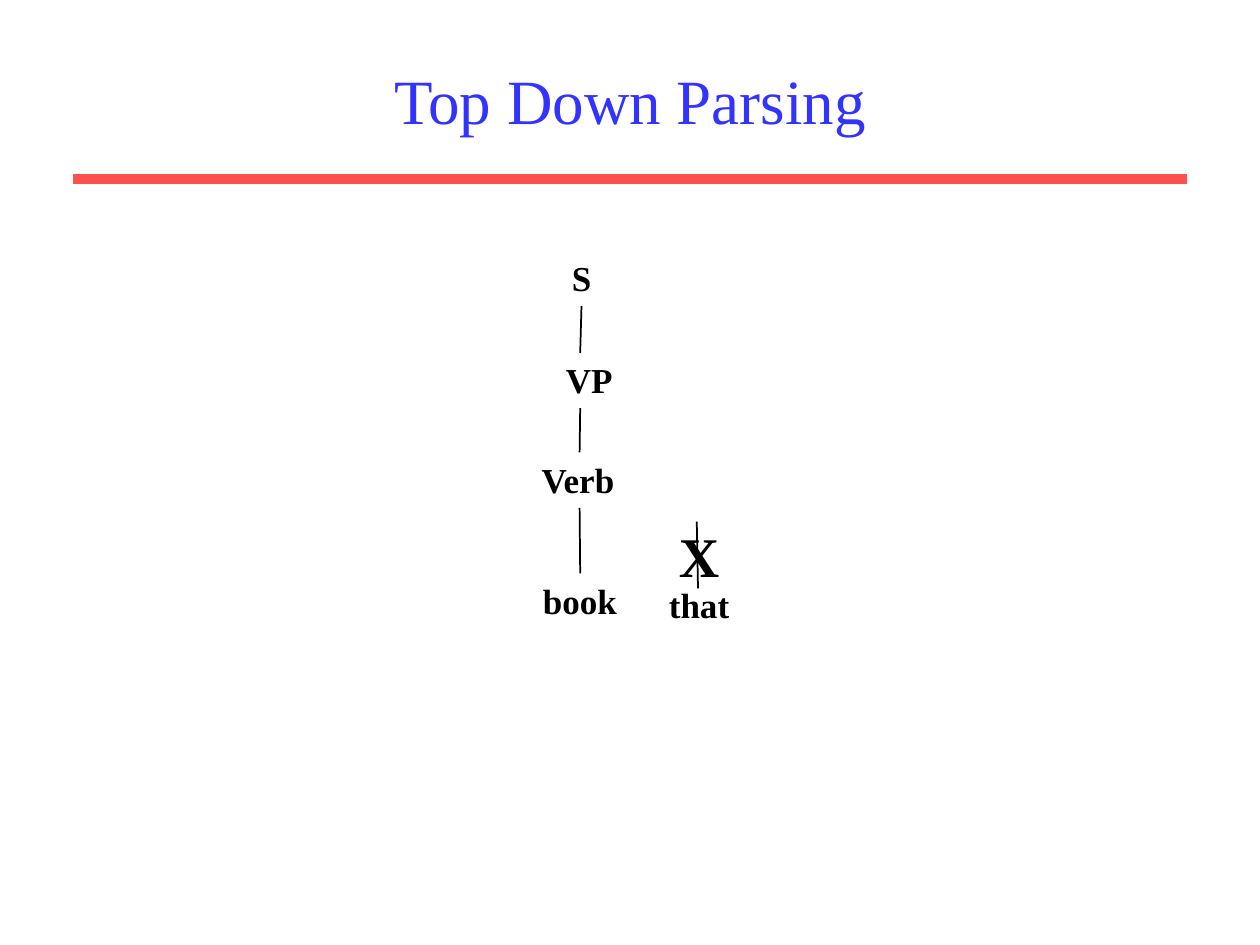
from pptx import Presentation
from pptx.dml.color import RGBColor
from pptx.enum.shapes import MSO_CONNECTOR
from pptx.enum.text import MSO_ANCHOR, PP_ALIGN
from pptx.oxml.ns import qn
from pptx.util import Inches, Pt
from lxml import etree

STRAIGHT = MSO_CONNECTOR.STRAIGHT
MIDDLE = MSO_ANCHOR.MIDDLE
LEFT, CENTER = PP_ALIGN.LEFT, PP_ALIGN.CENTER
TOP, BOTTOM = 0, 2


def rgb(color):
    return RGBColor.from_string(color)


class TreeSlide:
    """Style and drawing methods for a parse tree slide."""
    font = "Times New Roman"
    title_color, rule_color, ink = "3333FF", "FF5050", "000000"

    def __init__(self, prs):
        self.s = prs.slides.add_slide(prs.slide_layouts[5])

    def style(self, p, size, color, bold, align):
        p.alignment = align
        p.font.name = self.font
        p.font.size = Pt(size)
        p.font.bold = bold
        p.font.color.rgb = rgb(color)

    def title(self, text, x, y, w, h):
        sp = self.s.shapes.title
        sp.left, sp.top, sp.width, sp.height = map(Inches, (x, y, w, h))
        tf = sp.text_frame
        tf.text = text
        tf.vertical_anchor = MIDDLE
        self.style(tf.paragraphs[0], 36, self.title_color, False, CENTER)

    def line(self, x1, y1, x2, y2, color=ink, width=1):
        c = self.s.shapes.add_connector(STRAIGHT, *map(Inches, (x1, y1, x2, y2)))
        c.line.color.rgb = rgb(color)
        c.line.width = Pt(width)
        etree.SubElement(c._element.spPr, qn("a:effectLst"))
        return c

    def node(self, text, x, y, w, h=0.44, size=20, indent=0.1):
        sp = self.s.shapes.add_textbox(*map(Inches, (x, y, w, h)))
        tf = sp.text_frame
        tf.word_wrap = False
        tf.margin_left = Inches(indent)
        tf.text = text
        self.style(tf.paragraphs[0], size, self.ink, True, LEFT)
        return sp

    def branch(self, parent, child):
        c = self.line(0, 0, 1, 1)
        c.begin_connect(parent, BOTTOM)
        c.end_connect(child, TOP)


def main():
    prs = Presentation()
    prs.slide_width, prs.slide_height = Inches(10), Inches(7.5)
    tree = TreeSlide(prs)
    tree.line(0.58, 1.42, 9.42, 1.42, tree.rule_color, 6)
    tree.title("Top Down Parsing", 0.75, 0.25, 8.5, 1.08)

    chain = [
        tree.node("S", 4.44, 1.99, 0.35),
        tree.node("VP", 4.25, 2.8, 0.71, indent=0.24),
        tree.node("Verb", 4.2, 3.59, 0.8),
        tree.node("book", 4.21, 4.55, 0.79),
    ]
    for parent, child in zip(chain, chain[1:]):
        tree.branch(parent, child)

    tree.node("X", 5.29, 4.09, 0.52, h=0.64, size=32)
    tree.line(5.53, 4.14, 5.54, 4.67)
    tree.node("that", 5.21, 4.58, 0.68)
    prs.save("out.pptx")


if __name__ == "__main__":
    main()
